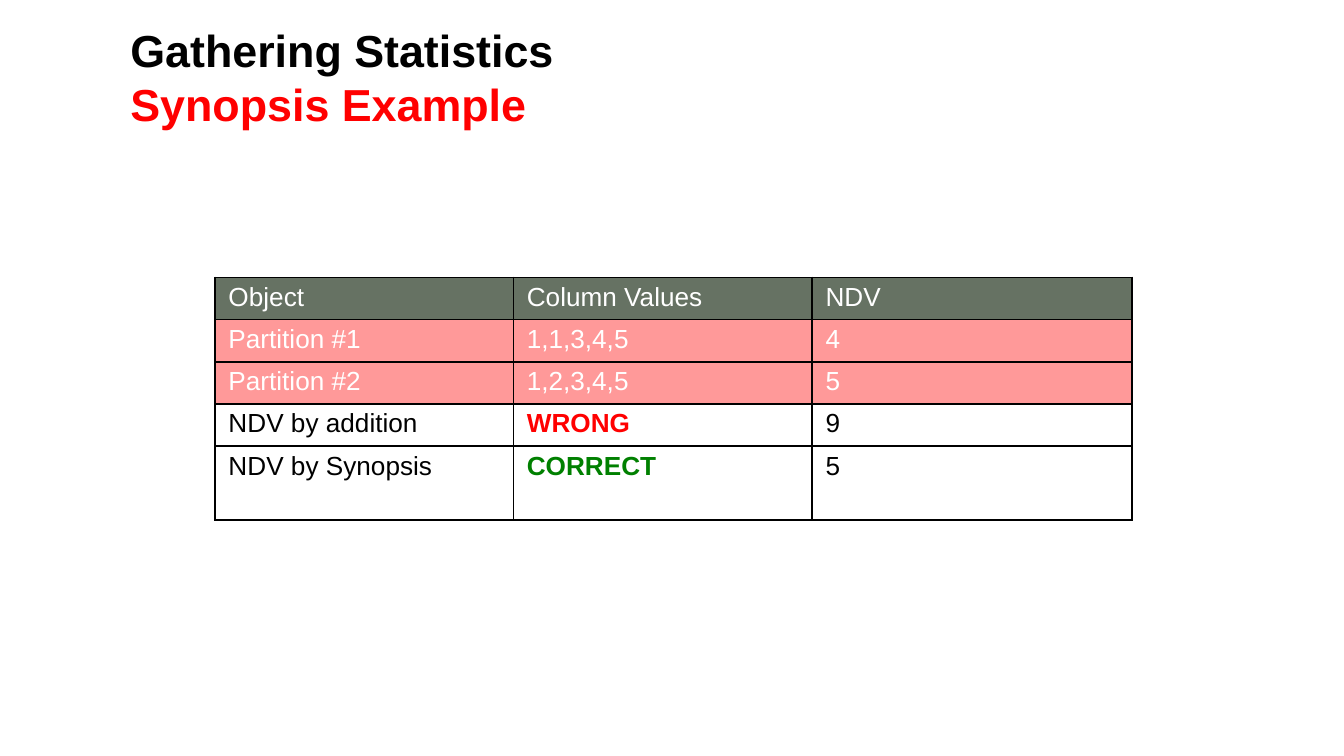
from dataclasses import dataclass

from pptx import Presentation
from pptx.dml.color import RGBColor as Color
from pptx.enum.text import MSO_ANCHOR as Anchor
from pptx.oxml import parse_xml
from pptx.oxml.ns import nsdecls
from pptx.util import Inches, Pt


@dataclass(frozen=True)
class Theme:
    font: str = "Arial"
    title_size: int = 24
    table_size: int = 14
    border_width: int = 1
    black: str = "000000"
    white: str = "FFFFFF"
    red: str = "FF0000"
    green: str = "008000"
    header: str = "667263"
    partition: str = "FF9999"


class SlideBuilder:
    """Draw themed elements on a slide using a grid of 100 columns."""

    def __init__(self, presentation, theme):
        self.theme = theme
        self.unit = presentation.slide_width / 100
        self.slide = presentation.slides.add_slide(presentation.slide_layouts[6])

    def place(self, *cells):
        return [round(cell * self.unit) for cell in cells]

    def style(self, font, size, color, bold):
        font.name = self.theme.font
        font.size = Pt(size)
        font.bold = bold
        font.color.rgb = Color.from_string(color)

    def title(self, box, lines):
        frame = self.slide.shapes.add_textbox(*self.place(*box)).text_frame
        frame.word_wrap = True
        frame.vertical_anchor = Anchor.TOP
        frame.margin_left = frame.margin_top = 0
        frame.margin_right = frame.margin_bottom = 0
        paragraph = frame.paragraphs[0]
        for index, (text, color) in enumerate(lines):
            if index:
                paragraph.add_line_break()
            run = paragraph.add_run()
            run.text = text
            self.style(run.font, self.theme.title_size, color, True)

    def table(self, left, top, widths, heights, rows):
        box = self.place(left, top, sum(widths), sum(heights))
        table = self.slide.shapes.add_table(len(rows), len(widths), *box).table
        table.first_row = table.horz_banding = False
        for column, width in zip(table.columns, self.place(*widths)):
            column.width = width
        for row, height in zip(table.rows, self.place(*heights)):
            row.height = height
        for row, (texts, fill, colors) in zip(table.rows, rows):
            for cell, text, color in zip(row.cells, texts, colors):
                self.cell(cell, text, fill, color)

    def cell(self, cell, text, fill, color):
        theme = self.theme
        cell.text = text
        cell.margin_left = cell.margin_right = Inches(0.1)
        cell.margin_top = cell.margin_bottom = Inches(0.04)
        bold = color in (theme.red, theme.green)
        self.style(cell.text_frame.paragraphs[0].font, theme.table_size, color, bold)
        properties = cell._tc.get_or_add_tcPr()
        for side in ("lnL", "lnR", "lnT", "lnB"):
            properties.append(parse_xml(
                f'<a:{side} {nsdecls("a")} w="{Pt(theme.border_width)}"><a:solidFill>'
                f'<a:srgbClr val="{theme.black}"/></a:solidFill></a:{side}>'))
        cell.fill.solid()
        cell.fill.fore_color.rgb = Color.from_string(fill)


def main():
    theme = Theme()
    presentation = Presentation()
    presentation.slide_width = Inches(10)
    presentation.slide_height = presentation.slide_width * 9 // 16
    builder = SlideBuilder(presentation, theme)
    builder.title((9.7, 1.7, 82.9, 7), [
        ("Gathering Statistics", theme.black),
        ("Synopsis Example", theme.red),
    ])
    light = [theme.white] * 3
    wrong = [theme.black, theme.red, theme.black]
    correct = [theme.black, theme.green, theme.black]
    builder.table(16, 20.65, [22.2, 22.23, 23.82], [3.12] * 4 + [5.5], [
        (("Object", "Column Values", "NDV"), theme.header, light),
        (("Partition #1", "1,1,3,4,5", "4"), theme.partition, light),
        (("Partition #2", "1,2,3,4,5", "5"), theme.partition, light),
        (("NDV by addition", "WRONG", "9"), theme.white, wrong),
        (("NDV by Synopsis", "CORRECT", "5"), theme.white, correct),
    ])
    presentation.save("out.pptx")


if __name__ == "__main__":
    main()
